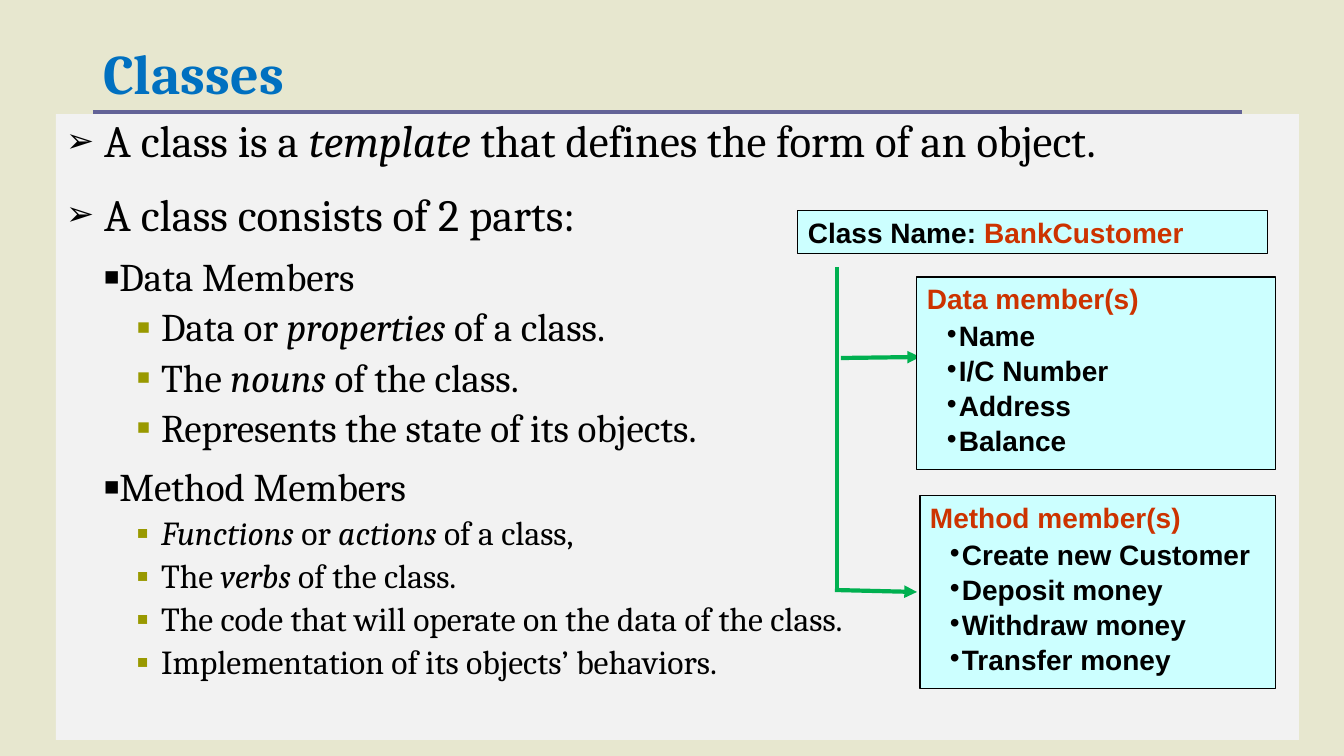
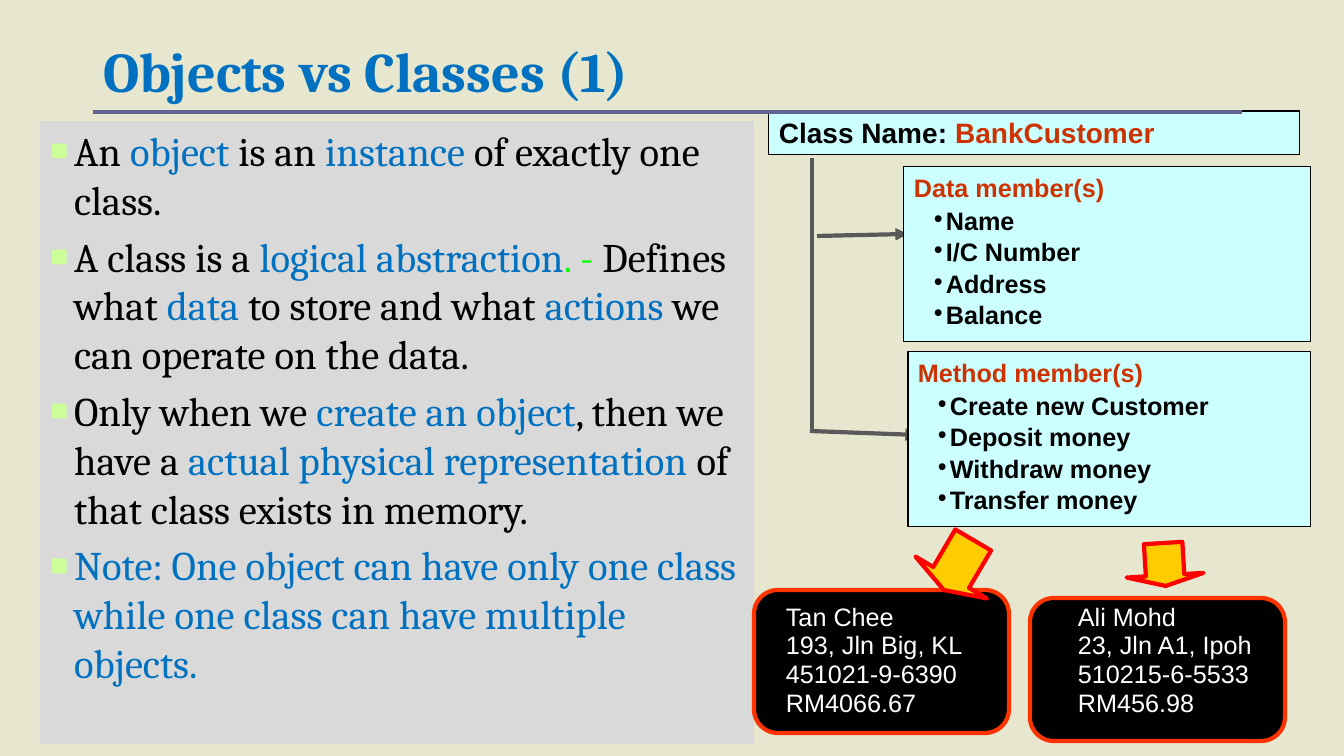
from lxml import etree
from pptx import Presentation
from pptx.dml.color import RGBColor
from pptx.enum.shapes import MSO_CONNECTOR, MSO_SHAPE
from pptx.enum.text import MSO_ANCHOR, MSO_AUTO_SIZE, PP_ALIGN
from pptx.oxml.ns import qn
from pptx.util import Pt

RECT = MSO_SHAPE.RECTANGLE
ROUND = MSO_SHAPE.ROUNDED_RECTANGLE
DOWN = MSO_SHAPE.DOWN_ARROW
LINE = MSO_CONNECTOR.STRAIGHT
TOP, MIDDLE = MSO_ANCHOR.TOP, MSO_ANCHOR.MIDDLE
LEFT, FIXED = PP_ALIGN.LEFT, MSO_AUTO_SIZE.NONE

# Shared style
SCALE = 914400 / 100.8
WIDE, HIGH = 1344, 756
SAND, BLUE, RULE = "E7E7CF", "0070C0", "636397"
BLACK, WHITE, RUST, CYAN = "000000", "FFFFFF", "CC3300", "CCFFFF"
OLIVE, MINT, GREEN, GREY = "999900", "CCFF99", "00B050", "595959"
SERIF, SANS = "Cambria", "Arial"

# A run that starts with one of these signs takes its format
MARKS = {
    "_": {"italic": True},
    "*": {"color": BLUE},
    "~": {"color": "00FF00"},
    "^": {"color": RUST},
}

# Members of the class in both diagrams
PARTS = {
    "Data member(s)": ["Name", "I/C Number", "Address", "Balance"],
    "Method member(s)": ["Create new Customer", "Deposit money",
                         "Withdraw money", "Transfer money"],
}


def px(count):
    return round(count * SCALE)


def rgb(code):
    return RGBColor.from_string(code)


def style(size, name=SERIF, color=BLACK, bold=False, lead=1.0, gap=0, bullet=None):
    """Format of a paragraph; bullet is (sign, colour, percent, margin, hang)."""
    return {
        "font": {"size": Pt(size), "name": name, "bold": bold, "color": color},
        "para": {"line_spacing": lead, "space_before": Pt(gap), "alignment": LEFT},
        "bullet": bullet,
    }


class Deck:
    def __init__(self):
        self.prs = Presentation()
        self.prs.slide_width, self.prs.slide_height = px(WIDE), px(HIGH)
        self.paint(self.prs.slide_master.background, SAND)
        self.slide = None

    def paint(self, item, color):
        item.fill.solid()
        item.fill.fore_color.rgb = rgb(color)

    # Text
    def bullet(self, para, sign, color, percent, margin, hang):
        props = para._p.get_or_add_pPr()
        props.set("marL", str(px(margin)))
        props.set("indent", str(-px(hang)))
        tint = etree.SubElement(props, qn("a:buClr"))
        etree.SubElement(tint, qn("a:srgbClr"), val=color)
        etree.SubElement(props, qn("a:buSzPct"), val=str(percent * 1000))
        etree.SubElement(props, qn("a:buFont"), typeface=SANS)
        etree.SubElement(props, qn("a:buChar"), char=sign)

    def put(self, shape, lines, anchor=TOP):
        """Fill a shape with (text, style) pairs; runs are split by |."""
        frame = shape.text_frame
        frame.word_wrap, frame.auto_size = True, FIXED
        frame.vertical_anchor = anchor
        for index, (text, look) in enumerate(lines):
            para = frame.paragraphs[0] if index == 0 else frame.add_paragraph()
            if look["bullet"]:
                self.bullet(para, *look["bullet"])
            for key, value in look["para"].items():
                setattr(para, key, value)
            if index == 0:
                para.space_before = Pt(0)
            for part in text.split("|"):
                mark = MARKS.get(part[0], {})
                run = para.add_run()
                run.text = part[1:] if mark else part
                for key, value in {**look["font"], **mark}.items():
                    if key == "color":
                        run.font.color.rgb = rgb(value)
                    else:
                        setattr(run.font, key, value)

    def place(self, shape, area):
        for key, value in zip(("left", "top", "width", "height"), area):
            setattr(shape, key, px(value))

    def start(self, title, depth):
        self.slide = self.prs.slides.add_slide(self.prs.slide_layouts[1])
        head = self.slide.shapes.title
        self.place(head, (93, 35, 932, depth))
        self.put(head, [(title, style(40, color=BLUE, bold=True))], MIDDLE)

    def body(self, area, color, lines):
        shape = self.slide.placeholders[1]
        self.place(shape, area)
        self.paint(shape, color)
        self.put(shape, lines)

    def note(self, area, lines):
        box = self.slide.shapes.add_textbox(*map(px, area))
        look = style(18, SANS, WHITE, lead=0.5, gap=9.7)
        self.put(box, [(line, look) for line in lines])

    # Shapes and lines
    def shape(self, kind, area, fill, edge, width, turn=0):
        item = self.slide.shapes.add_shape(kind, *map(px, area))
        item.shadow.inherit = False
        item.rotation = turn
        self.paint(item, fill)
        item.line.color.rgb = rgb(edge)
        item.line.width = Pt(width)
        return item

    def line(self, ends, color, width=3, arrow=False):
        item = self.slide.shapes.add_connector(LINE, *map(px, ends))
        item.line.color.rgb = rgb(color)
        item.line.width = Pt(width)
        props = item._element.spPr
        if arrow:
            etree.SubElement(props.find(qn("a:ln")), qn("a:tailEnd"), type="triangle")
        etree.SubElement(props, qn("a:effectLst"))

    def rule(self):
        self.line((93, 112, 1242, 112), RULE, 2.5)

    # Class diagram
    def card(self, area, size, head, items):
        box = self.shape(RECT, area, CYAN, BLACK, 0.75)
        top = style(size, SANS, RUST, True)
        row = style(size, SANS, bold=True, lead=0.6, gap=size * 0.53,
                    bullet=("•", BLACK, 100, 32, 12))
        self.put(box, [(head, top)] + [(item, row) for item in items])

    def chart(self, name, areas, spine, arrows, color, size):
        box = self.shape(RECT, name, CYAN, BLACK, 0.75)
        self.put(box, [("Class Name: |^BankCustomer", style(20, SANS, bold=True))])
        self.line(spine, color)
        for ends, area, (head, items) in zip(arrows, areas, PARTS.items()):
            self.line(ends, color, arrow=True)
            self.card(area, size, head, items)

    # Objects
    def thing(self, area, text, lines):
        self.shape(ROUND, area, BLACK, "FF3300", 3)
        self.note(text, lines)

    def drop(self, area, turn):
        item = self.shape(DOWN, area, "FFCC00", "FF0000", 3, turn)
        item.adjustments[1] = 0.25


def classes(deck):
    main = style(32, lead=0.9, gap=18, bullet=("➢", BLACK, 75, 38, 38))
    part = style(28, lead=0.9, gap=12, bullet=("■", BLACK, 65, 50, 12))
    dot = ("■", OLIVE, 55, 95, 24)
    large = style(28, lead=0.9, gap=5.6, bullet=dot)
    small = style(24, lead=0.9, gap=4.8, bullet=dot)
    deck.start("Classes", 75)
    deck.body((56, 114, 1243, 626), "F2F2F2", [
        ("A class is a |_template| that defines the form of an object.", main),
        ("A class consists of 2 parts:", main),
        ("Data Members", part),
        ("Data or |_properties| of a class.", large),
        ("The |_nouns| of the class.", large),
        ("Represents the state of its objects.", large),
        ("Method Members", part),
        ("_Functions| or |_actions| of a class,", small),
        ("The |_verbs| of the class.", small),
        ("The code that will operate on the data of the class.", small),
        ("Implementation of its objects’ behaviors.", small),
    ])
    deck.chart((798, 211, 470, 43),
               ((917, 277, 359, 193), (920, 496, 356, 193)),
               (837, 267, 837, 589),
               ((841, 358, 920, 357), (835, 590, 917, 592)), GREEN, 20)
    deck.rule()


def objects(deck):
    look = style(29, gap=5.8, bullet=("■", MINT, 75, 24, 24))
    deck.start("Objects vs Classes (1)", 71)
    deck.body((40, 121, 714, 623), "D9D9D9", [(text, look) for text in (
        "An |*object |is an |*instance |of exactly one class.",
        "A class is a |*logical abstraction|~. - |Defines what |*data |to store "
        "and what |*actions |we can operate on the data.",
        "Only when we |*create an object|, then we have a "
        "|*actual physical representation |of that class exists in memory.",
        "*Note: One object can have only one class while one class can have "
        "multiple objects.",
    )])
    deck.thing((754, 590, 255, 143), (776, 609, 276, 147),
               ["Tan Chee", "193, Jln Big, KL", "451021-9-6390", "RM4066.67"])
    deck.thing((1030, 598, 255, 143), (1068, 609, 276, 147),
               ["Ali Mohd", "23, Jln A1, Ipoh", "510215-6-5533", "RM456.98"])
    deck.drop((917, 536, 83, 58), 30.4)
    deck.drop((1126, 543, 77, 43), 356.5)
    deck.chart((769, 111, 531, 44),
               ((904, 167, 407, 175), (908, 352, 403, 175)),
               (812, 158, 812, 430),
               ((817, 236, 908, 234), (810, 431, 918, 435)), GREY, 18)
    deck.rule()


def main():
    deck = Deck()
    classes(deck)
    objects(deck)
    deck.prs.save("out.pptx")


if __name__ == "__main__":
    main()
